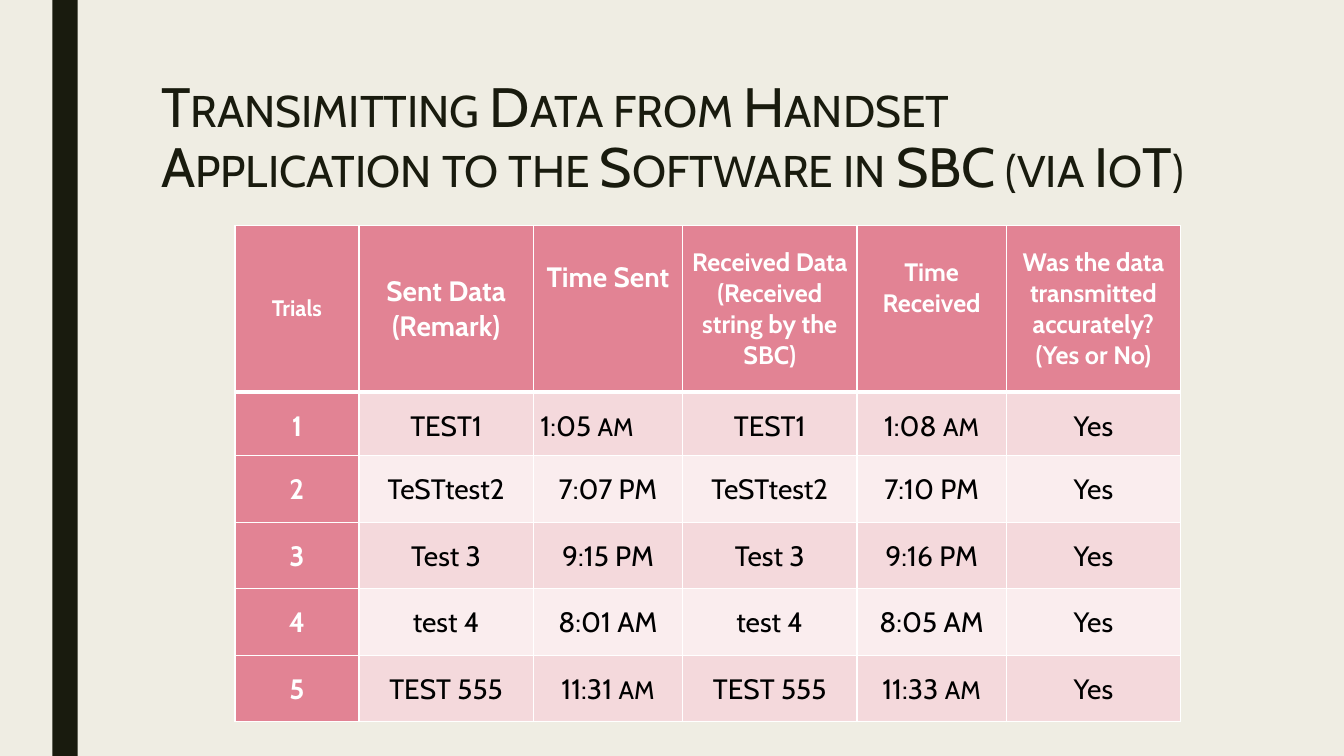
from lxml import etree
from pptx import Presentation
from pptx import util as u
from pptx.dml.color import RGBColor
from pptx.enum import shapes, text
from pptx.oxml import ns

CREAM = RGBColor(0xEF, 0xED, 0xE3)
OLIVE = RGBColor(0x19, 0x1B, 0x0E)
ROSE = RGBColor(0xE2, 0x83, 0x94)
PINK = RGBColor(0xF4, 0xD9, 0xDC)
PALE = RGBColor(0xFA, 0xED, 0xEE)
WHITE = RGBColor(0xFF, 0xFF, 0xFF)
BLACK = RGBColor(0, 0, 0)
FONT = "Cabin"

HEADERS = [
    (["Trials"], 16, 0),
    (["Sent Data", "(Remark)"], 20, 0),
    (["Time Sent"], 20, 0.34),
    (["Received Data", "(Received string by the SBC)"], 18, 0),
    (["Time", "Received"], 18, 0.31),
    (["Was the data transmitted accurately?", "(Yes or No)"], 18, 0),
]
TRIALS = [
    ("TEST1", "1:05 AM", "1:08 AM"),
    ("TeSTtest2", "7:07 PM", "7:10 PM"),
    ("Test 3", "9:15 PM", "9:16 PM"),
    ("test 4", "8:01 AM", "8:05 AM"),
    ("TEST 555", "11:31 AM", "11:33 AM"),
]
SMALL_SUFFIX_TRIALS = (1, 5)
COLUMN_WIDTHS = [1.23] + [1.73, 1.48] * 2 + [1.73]
ROW_HEIGHTS = [1.65, 0.63] + [0.66] * 4


def style_font(font, size, color, bold=False):
    font.name = FONT
    font.size = u.Pt(size)
    font.color.rgb = color
    font.bold = bold


def style_cell(cell, fill, top_line=1, bottom_line=1):
    cell.margin_left = cell.margin_right = u.Inches(0.07)
    cell.margin_top = cell.margin_bottom = 0
    properties = cell._tc.get_or_add_tcPr()
    for side, width in (("L", 1), ("R", 1), ("T", top_line), ("B", bottom_line)):
        line = etree.SubElement(properties, ns.qn(f"a:ln{side}"), w=str(u.Pt(width)))
        solid = etree.SubElement(line, ns.qn("a:solidFill"))
        etree.SubElement(solid, ns.qn("a:srgbClr"), val=str(WHITE))
    cell.fill.solid()
    cell.fill.fore_color.rgb = fill


presentation = Presentation()
presentation.slide_width = u.Inches(13.33)
presentation.slide_height = u.Inches(7.5)
slide = presentation.slides.add_slide(presentation.slide_layouts[6])
slide.background.fill.solid()
slide.background.fill.fore_color.rgb = CREAM

stripe = slide.shapes.add_shape(
    shapes.MSO_SHAPE.RECTANGLE, u.Inches(0.52), 0, u.Inches(0.25), presentation.slide_height)
stripe.shadow.inherit = False
stripe.fill.solid()
stripe.fill.fore_color.rgb = OLIVE
stripe.line.fill.background()

title = slide.shapes.add_textbox(u.Inches(1.5), u.Inches(0.75), u.Inches(10.5), u.Inches(1.62))
title.text_frame.word_wrap = True
paragraph = title.text_frame.paragraphs[0]
paragraph.line_spacing = 0.89
run = paragraph.add_run()
run.text = "Transimitting Data from Handset Application to the Software in SBC (via IoT)"
style_font(run.font, 39.6, OLIVE)
run.font._element.set("cap", "small")

table = slide.shapes.add_table(
    len(ROW_HEIGHTS), len(COLUMN_WIDTHS), u.Inches(2.33), u.Inches(2.24),
    u.Inches(sum(COLUMN_WIDTHS)), u.Inches(sum(ROW_HEIGHTS))).table
for column, width in zip(table.columns, COLUMN_WIDTHS):
    column.width = u.Inches(width)
for row, height in zip(table.rows, ROW_HEIGHTS):
    row.height = u.Inches(height)

for cell, (lines, size, top_gap) in zip(table.rows[0].cells, HEADERS):
    style_cell(cell, ROSE, bottom_line=3)
    cell.margin_top = u.Inches(top_gap)
    cell.vertical_anchor = text.MSO_ANCHOR.TOP if top_gap else text.MSO_ANCHOR.MIDDLE
    cell.text_frame.text = "\n".join(lines)
    for paragraph in cell.text_frame.paragraphs:
        paragraph.alignment = text.PP_ALIGN.CENTER
        style_font(paragraph.font, size, WHITE, True)

for trial, (remark, sent, received) in enumerate(TRIALS, 1):
    values = [str(trial), remark, sent, remark, received, "Yes"]
    band = PINK if trial % 2 else PALE
    for index, value in enumerate(values):
        cell = table.cell(trial, index)
        style_cell(cell, band if index else ROSE, top_line=3 if trial == 1 else 1)
        paragraph = cell.text_frame.paragraphs[0]
        paragraph.line_spacing = 1.5
        paragraph.alignment = text.PP_ALIGN.CENTER
        style_font(paragraph.font, 20, BLACK if index else WHITE, index == 0)
        if trial in SMALL_SUFFIX_TRIALS and index in (2, 4):
            clock, suffix = value.split()
            paragraph.add_run().text = clock + " "
            run = paragraph.add_run()
            run.text = suffix
            run.font.size = u.Pt(18)
        else:
            paragraph.add_run().text = value
table.cell(1, 2).text_frame.paragraphs[0].alignment = text.PP_ALIGN.LEFT

presentation.save("out.pptx")
